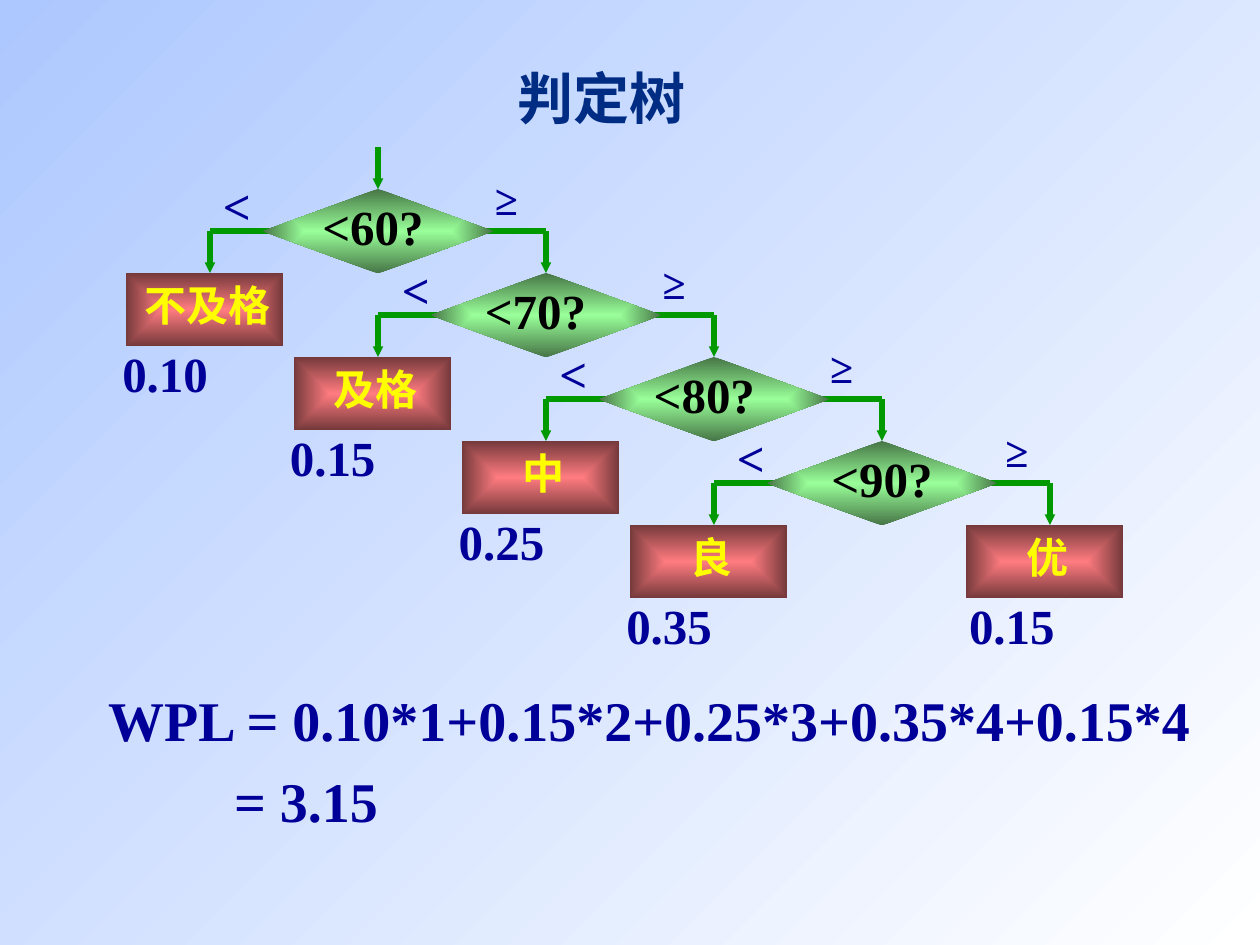
from lxml import etree
from pptx import Presentation
from pptx import util as u
from pptx.dml.color import RGBColor
from pptx.enum import shapes, text
from pptx.oxml.ns import qn

TITLE = "判定树"
# condition, left of its text, left of "<", left of "≥"
DECISIONS = [
    ("<60?", 2.46, 1.67, 3.83),
    ("<70?", 3.75, 3.09, 5.16),
    ("<80?", 5.09, 4.34, 6.49),
    ("<90?", 6.50, 5.75, 7.88),
]
# grade, text width, weight, left of the weight
GRADES = [
    ("不及格", 1.20, "0.10", 0.87),
    ("及格", 0.86, "0.15", 2.20),
    ("中", 0.53, "0.25", 3.54),
    ("良", 0.53, "0.35", 4.87),
    ("优", 0.53, "0.15", 7.59),
]
FORMULA = ["WPL = 0.10*1+0.15*2+0.25*3+0.35*4+0.15*4", "= 3.15"]

FONT = "Times New Roman"
NAVY, GREEN = "000099", "009900"
STEP_X, STEP_Y = 4 / 3, 2 / 3
ROOT_X, ROOT_Y = 3, 1.5
DIAMOND_WIDTH, DIAMOND_HEIGHT = 1.83, 0.67
BOX_WIDTH, BOX_HEIGHT = 1.25, 0.58
SLACK = 0.02  # extra room on each side of a text, so that it stays on one line

presentation = Presentation()
presentation.slide_width, presentation.slide_height = u.Inches(10), u.Inches(7.5)
slide = presentation.slides.add_slide(presentation.slide_layouts[6])


def rgb(value):
    return RGBColor.from_string(value)


def set_gradient(fill, start, end):
    fill.gradient()
    for stop, color, position in zip(fill.gradient_stops, (start, end), (0, 1)):
        stop.color.rgb = rgb(color)
        stop.position = position


def add_line(x1, y1, x2, y2, arrow=False):
    line = slide.shapes.add_connector(
        shapes.MSO_CONNECTOR.STRAIGHT, *map(u.Inches, (x1, y1, x2, y2)))
    line.line.color.rgb = rgb(GREEN)
    line.line.width = u.Pt(3)
    if arrow:
        etree.SubElement(line.line._get_or_add_ln(), qn("a:tailEnd"),
                         type="triangle", w="sm", len="sm")
    etree.SubElement(line._element.spPr, qn("a:effectLst"))


def add_node(kind, left, top, width, height, inner, outer):
    shape = slide.shapes.add_shape(kind, *map(u.Inches, (left, top, width, height)))
    shape.shadow.inherit = False
    shape.line.fill.background()
    set_gradient(shape.fill, inner, outer)
    # Shade from the centre outwards
    gradient = shape._element.spPr.find(qn("a:gradFill"))
    gradient.remove(gradient.find(qn("a:lin")))
    shade = etree.SubElement(gradient, qn("a:path"), path="rect")
    etree.SubElement(shade, qn("a:fillToRect"),
                     l="50000", t="50000", r="50000", b="50000")


def add_text(lines, left, top, width, height, size, color=NAVY,
             align=text.PP_ALIGN.CENTER):
    box = slide.shapes.add_textbox(
        *map(u.Inches, (left - SLACK, top, width + 2 * SLACK, height)))
    frame = box.text_frame
    frame.word_wrap = False
    frame.auto_size = text.MSO_AUTO_SIZE.NONE
    frame.vertical_anchor = text.MSO_ANCHOR.MIDDLE
    frame.text = "\n".join(lines)
    for paragraph in frame.paragraphs:
        paragraph.alignment = align
        paragraph.font.name = FONT
        paragraph.font.size = u.Pt(size)
        paragraph.font.bold = True
        paragraph.font.color.rgb = rgb(color)
    return frame


# Background and title
set_gradient(slide.background.fill, "FFFFFF", "ADC8FF")
slide.background.fill.gradient_angle = 135
add_text([TITLE], 4.01, 0.45, 1.53, 0.64, 32, "002C84")

# Entry arrow, then one decision per level with its two branches
add_line(ROOT_X, ROOT_Y - 0.33, ROOT_X, ROOT_Y, arrow=True)
for level, (condition, text_left, less_left, more_left) in enumerate(DECISIONS):
    center = ROOT_X + level * STEP_X
    top = ROOT_Y + level * STEP_Y
    middle = top + STEP_Y / 2
    for side in (-1, 1):
        end = center + side * STEP_X
        add_line(end, middle, center + side * 0.83, middle)
        add_line(end, middle, end, top + STEP_Y, arrow=True)
    add_node(shapes.MSO_SHAPE.FLOWCHART_DECISION, center - DIAMOND_WIDTH / 2, top,
             DIAMOND_WIDTH, DIAMOND_HEIGHT, "99FF99", "467546")
    add_text([condition], text_left, top + 0.01, 1, 0.57, 28, "000000")
    add_text(["<"], less_left, top - 0.16, 0.42, 0.57, 28)
    add_text(["≥"], more_left, top - 0.17, 0.38, 0.5, 24)

# Grades: one left of each decision, the last one right of the final decision
last = len(DECISIONS) - 1
for index, (grade, width, weight, weight_left) in enumerate(GRADES):
    column = index - 1 if index <= last else index
    center = ROOT_X + column * STEP_X
    top = ROOT_Y + (min(index, last) + 1) * STEP_Y
    add_node(shapes.MSO_SHAPE.RECTANGLE, center - 0.67, top,
             BOX_WIDTH, BOX_HEIGHT, "FF7C80", "75393B")
    add_text([grade], center - 0.02 - width / 2, top, width, 0.5, 24, "FFFF00")
    add_text([weight], weight_left, top + 0.51, 0.88, 0.57, 28)

# Weighted path length
formula = add_text(FORMULA, 0.78, 5.39, 8.82, 1.28, 32, align=text.PP_ALIGN.LEFT)
result = formula.paragraphs[1]
result.space_before = u.Pt(8)
result._p.get_or_add_pPr().set("marL", str(u.Inches(1)))

presentation.save("out.pptx")
